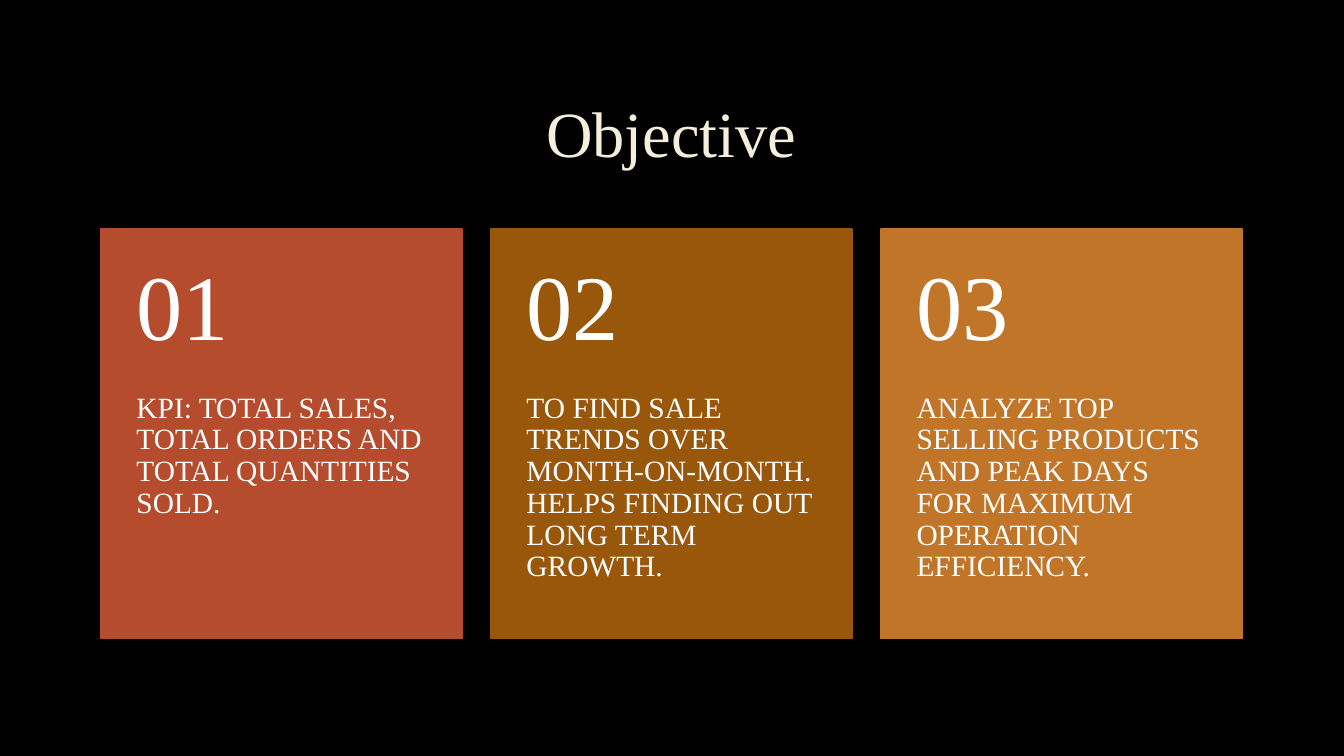
from pptx import Presentation
from pptx.dml.color import RGBColor
from pptx.enum.shapes import MSO_SHAPE
from pptx.enum.text import MSO_ANCHOR, PP_ALIGN
from pptx.util import Pt

FONT = "Times New Roman"
WHITE = "FFFFFF"
CREAM = "F4EEDC"
BLACK = "000000"

OBJECTIVES = [
    ("B54C2D", "KPI: TOTAL SALES, TOTAL ORDERS AND TOTAL QUANTITIES SOLD."),
    ("99570C", "TO FIND SALE TRENDS OVER MONTH-ON-MONTH. "
               "HELPS FINDING OUT LONG TERM GROWTH."),
    ("C17529", "ANALYZE TOP SELLING PRODUCTS AND PEAK DAYS "
               "FOR MAXIMUM OPERATION EFFICIENCY."),
]


def color(hex_string):
    return RGBColor.from_string(hex_string)


def add_text(slide, text, box, size, hue=WHITE, align=PP_ALIGN.LEFT,
             anchor=MSO_ANCHOR.TOP, insets=(7.2, 3.6, 7.2, 3.6)):
    """Box is left, top, width, height; insets are left, top, right, bottom."""
    frame = slide.shapes.add_textbox(*map(Pt, box)).text_frame
    frame.word_wrap = True
    frame.vertical_anchor = anchor
    (frame.margin_left, frame.margin_top,
     frame.margin_right, frame.margin_bottom) = map(Pt, insets)
    paragraph = frame.paragraphs[0]
    paragraph.alignment = align
    paragraph.line_spacing = 0.9
    run = paragraph.add_run()
    run.text = text
    run.font.name = FONT
    run.font.size = Pt(size)
    run.font.color.rgb = color(hue)


def add_card(slide, box, number, objective, hue):
    """Coloured panel with its number in the top 40% and the objective below."""
    left, top, width, height = box
    panel = slide.shapes.add_shape(MSO_SHAPE.RECTANGLE, *map(Pt, box))
    panel.shadow.inherit = False
    panel.fill.solid()
    panel.fill.fore_color.rgb = color(hue)
    panel.line.color.rgb = color(hue)
    panel.line.width = Pt(1.25)

    number_height = 0.4 * height
    add_text(slide, objective,
             (left, top + number_height, width, height - number_height),
             21, insets=(25.5, 0, 25.5, 26))
    add_text(slide, f"{number:02}", (left, top, width, number_height),
             66, anchor=MSO_ANCHOR.MIDDLE, insets=(25.5, 13, 25.5, 13))


def add_cards(slide, box, gap):
    left, top, width, height = box
    count = len(OBJECTIVES)
    card_width = (width - gap * (count - 1)) / count
    for index, (hue, objective) in enumerate(OBJECTIVES):
        card_left = left + index * (card_width + gap)
        add_card(slide, (card_left, top, card_width, height),
                 index + 1, objective, hue)


def main():
    deck = Presentation()
    deck.slide_width, deck.slide_height = Pt(960), Pt(540)
    slide = deck.slides.add_slide(deck.slide_layouts[6])
    slide.background.fill.solid()
    slide.background.fill.fore_color.rgb = color(BLACK)
    add_text(slide, "Objective", (72, 48, 815, 99.5), 46, CREAM,
             PP_ALIGN.CENTER, MSO_ANCHOR.MIDDLE)
    add_cards(slide, (72, 163.5, 815, 292.5), gap=20.75)
    deck.save("out.pptx")


if __name__ == "__main__":
    main()
